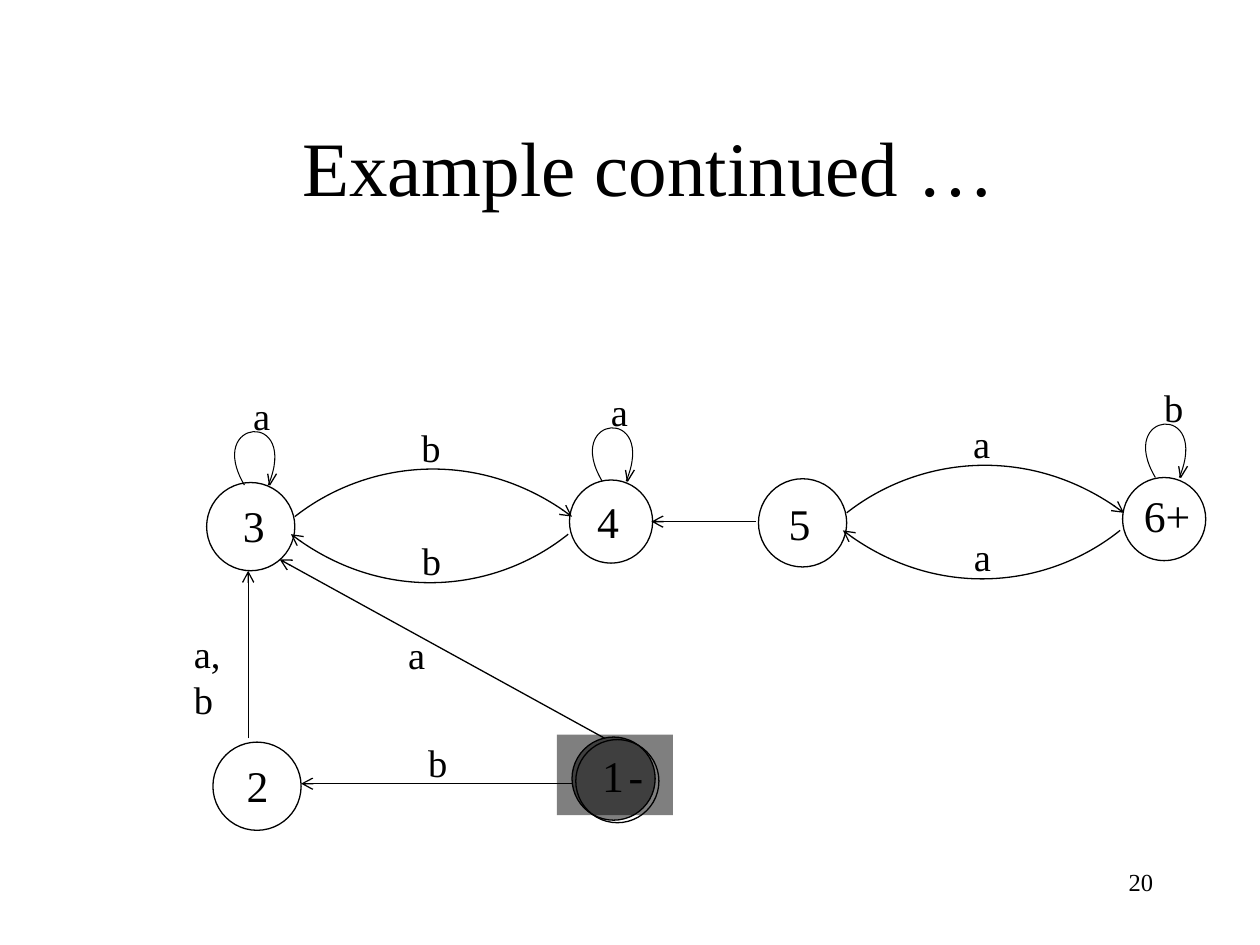
from dataclasses import dataclass
from typing import Sequence

from lxml.etree import SubElement
from pptx import Presentation
from pptx.dml.color import RGBColor
from pptx.enum.shapes import MSO_CONNECTOR as Connector, MSO_SHAPE as Shape
from pptx.enum.text import PP_ALIGN as Align
from pptx.oxml.ns import qn
from pptx.util import Inches, Pt

BLACK = RGBColor(0, 0, 0)
WHITE = RGBColor(255, 255, 255)
FONT = "Times New Roman"
STATE_SIZE, LABEL_SIZE = 25, 22

presentation = Presentation()
presentation.slide_width, presentation.slide_height = Inches(10), Inches(7.5)
slide = presentation.slides.add_slide(presentation.slide_layouts[6])

# Every length below is in columns and rows of a 100 by 75 grid
COLUMN = presentation.slide_width / 100
ROW = presentation.slide_height / 75


@dataclass(frozen=True)
class Point:
    column: float
    row: float

    def shift(self, columns: float, rows: float) -> "Point":
        return Point(self.column + columns, self.row + rows)

    def emu(self) -> tuple[int, int]:
        return round(self.column * COLUMN), round(self.row * ROW)


@dataclass(frozen=True)
class State:
    name: str
    corner: Point
    diameter: float
    text_corner: Point


@dataclass(frozen=True)
class Pair:
    """Two states joined by an arc in each direction."""
    left: State
    right: State
    label: str


@dataclass(frozen=True)
class Loop:
    start: Point
    label: str


@dataclass(frozen=True)
class Arrow:
    start: Point
    end: Point


@dataclass(frozen=True)
class Label:
    text: str
    corner: Point
    width: float = 4.1


def add_arrowhead(line) -> None:
    SubElement(line._get_or_add_ln(), qn("a:tailEnd"), type="arrow")


def draw_text(runs: Sequence[tuple[str, float]], corner: Point, width: float, height: float,
              align: Align = Align.LEFT, top_inset: float = 0.05, wrap: bool = True) -> None:
    box = slide.shapes.add_textbox(*corner.emu(), *Point(width, height).emu())
    frame = box.text_frame
    frame.word_wrap = wrap
    frame.margin_top = Inches(top_inset)
    paragraph = frame.paragraphs[0]
    paragraph.alignment = align
    for text, size in runs:
        run = paragraph.add_run()
        run.text = text
        run.font.size, run.font.name = Pt(size), FONT
        run.font.color.rgb = BLACK


def draw_label(label: Label) -> None:
    draw_text([(label.text, LABEL_SIZE)], label.corner, label.width, 4)


def draw_shape(kind: Shape, corner: Point, width: float, height: float,
               color: RGBColor, outlined: bool = True, opacity: int = 100) -> None:
    shape = slide.shapes.add_shape(kind, *corner.emu(), *Point(width, height).emu())
    shape.shadow.inherit = False
    shape.fill.solid()
    shape.fill.fore_color.rgb = color
    if opacity < 100:
        color_element = shape._element.spPr.find(qn("a:solidFill"))[0]
        SubElement(color_element, qn("a:alpha"), val=str(opacity * 1000))
    if outlined:
        shape.line.color.rgb = BLACK
        shape.line.width = Pt(0.75)
    else:
        shape.line.fill.background()


def draw_state(state: State) -> None:
    draw_shape(Shape.OVAL, state.corner, state.diameter, state.diameter, WHITE)
    # A narrow space separates the number from the start sign
    runs = [(part, 11 if part == " " else STATE_SIZE) for part in state.name.partition(" ") if part]
    draw_text(runs, state.text_corner, 10.2, 4.2)


def draw_path(points: Sequence[Point], weight: float = 0.75, arrow: bool = False) -> None:
    """Two points make a straight stroke, four make a Bezier curve."""
    builder = slide.shapes.build_freeform(*points[0].emu())
    builder.add_line_segments([point.emu() for point in points[1:]], close=False)
    shape = builder.convert_to_shape()
    shape.shadow.inherit = False
    shape.fill.background()
    shape.line.color.rgb = BLACK
    shape.line.width = Pt(weight)
    if len(points) == 4:
        outline = next(shape._element.iter(qn("a:path")))
        curve = SubElement(outline, qn("a:cubicBezTo"))
        for segment in outline.findall(qn("a:lnTo")):
            curve.append(segment[0])
            outline.remove(segment)
    if arrow:
        add_arrowhead(shape.line)


def draw_pair(pair: Pair) -> None:
    draw_state(pair.left)
    draw_state(pair.right)
    corner = pair.left.corner
    upper, lower = corner.shift(7, 2.7), corner.shift(28.7, 4.1)
    draw_path([upper, upper.shift(5.6, -4.4), upper.shift(14.7, -5.5), upper.shift(22, 0)], arrow=True)
    draw_path([lower, lower.shift(-5.6, 4.5), lower.shift(-14.7, 5.6), lower.shift(-22, 0)], arrow=True)
    draw_label(Label(pair.label, corner.shift(16.05, -5.15)))
    draw_label(Label(pair.label, corner.shift(16.1, 3.8), 4.9))


def draw_loop(loop: Loop) -> None:
    start = loop.start
    tip = start.shift(2, 0)
    draw_path([start, start.shift(-3.15, -5.3), start.shift(4.4, -6), start.shift(1.9, 0)], 0.6)
    for barb in (tip.shift(0.55, -0.9), tip.shift(-0.15, -0.9)):
        draw_path([barb, tip])
    draw_label(Label(loop.label, start.shift(-0.3, -7.9)))


def draw_arrow(arrow: Arrow) -> None:
    connector = slide.shapes.add_connector(Connector.STRAIGHT, *arrow.start.emu(), *arrow.end.emu())
    connector.line.color.rgb = BLACK
    connector.line.width = Pt(0.75)
    add_arrowhead(connector.line)
    SubElement(connector._element.spPr, qn("a:effectLst"))


PAIRS = [
    Pair(State("5", Point(60.2, 38), 7, Point(61.6, 38.9)),
         State("6+", Point(89.1, 37.9), 6.6, Point(89.8, 38.3)), "a"),
    Pair(State("3", Point(16.4, 38.3), 7, Point(18.3, 39.1)),
         State("4", Point(45.2, 38.1), 6.6, Point(46.4, 38.8)), "b"),
]
LOWER_STATES = [
    State("1 -", Point(45.7, 58.7), 6.6, Point(46.8, 58.9)),
    State("2", Point(16.9, 58.9), 7, Point(18.6, 59.7)),
]
LOOPS = [Loop(Point(91.7, 37.9), "b"), Loop(Point(47.8, 38.2), "a"), Loop(Point(19.4, 38.5), "a")]
ARROWS = [
    Arrow(Point(60, 41.4), Point(51.7, 41.4)),
    Arrow(Point(19.7, 58.6), Point(19.7, 45.3)),
    Arrow(Point(45.5, 62.2), Point(23.9, 62.2)),
    Arrow(Point(48, 58.6), Point(22.2, 44.4)),
]
LABELS = [Label("b", Point(33, 58.2)), Label("a", Point(31.4, 49.6)), Label("a,b", Point(14.4, 49.5), 5.6)]

# Automaton
for pair in PAIRS:
    draw_pair(pair)
for state in LOWER_STATES:
    draw_state(state)
for loop in LOOPS:
    draw_loop(loop)
for arrow in ARROWS:
    draw_arrow(arrow)
for label in LABELS:
    draw_label(label)

# Title
draw_text([("Example continued …", 44)], Point(23, 8.3), 57, 8.4, top_inset=0.12, wrap=False)

# Highlight over the start state
draw_shape(Shape.OVAL, Point(45.4, 58.5), 6.6, 6.6, BLACK, opacity=50)
draw_shape(Shape.RECTANGLE, Point(44.2, 58.3), 9.2, 6.4, BLACK, outlined=False, opacity=50)

# Slide number
draw_text([("20", 14)], Point(71.7, 68.3), 20.8, 5, Align.RIGHT)

presentation.save("out.pptx")
